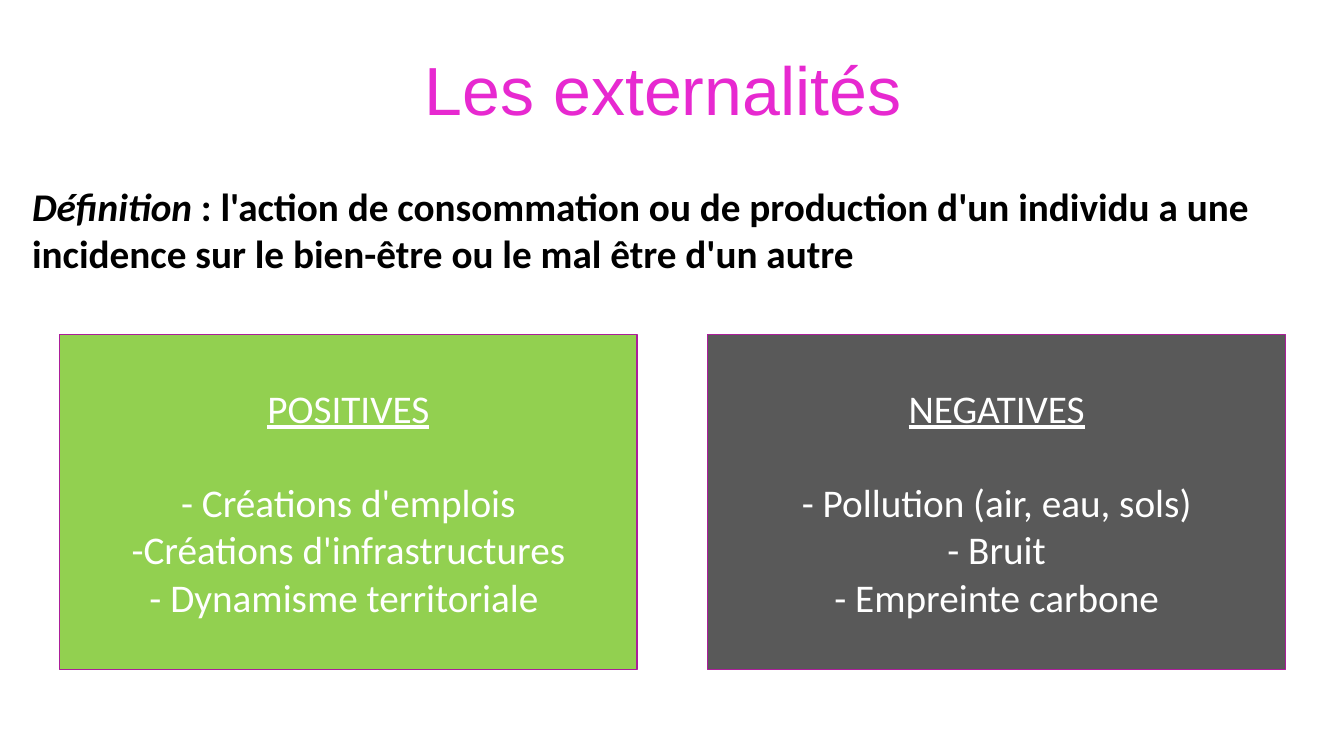
from dataclasses import dataclass

from pptx import Presentation
from pptx import util as u
from pptx.dml.color import RGBColor
from pptx.enum import shapes, text

COLORS = {
    "title": "E729D0",
    "body": "000000",
    "positive": "92D050",
    "negative": "595959",
    "border": "AB1E9A",
    "panel_text": "FFFFFF",
}
BODY_SIZE = 28
BLANK_LAYOUT = 6


@dataclass
class Panel:
    left: float
    fill: str
    heading: str
    effects: list[str]


PANELS = [
    Panel(0.59, "positive", "POSITIVES",
          ["- Créations d'emplois", "-Créations d'infrastructures", "- Dynamisme territoriale "]),
    Panel(7.02, "negative", "NEGATIVES",
          ["- Pollution (air, eau, sols)", "- Bruit", "- Empreinte carbone"]),
]


def rgb(name: str) -> RGBColor:
    return RGBColor.from_string(COLORS[name])


def add_run(paragraph, words: str, color: str, size: float = BODY_SIZE,
            font: str = "Calibri", **styles: bool) -> None:
    """Append a run; styles are font switches such as bold or underline."""
    run = paragraph.add_run()
    run.text = words
    run.font.name = font
    run.font.size = u.Pt(size)
    run.font.color.rgb = rgb(color)
    for style, value in styles.items():
        setattr(run.font, style, value)


def add_text_frame(slide, left: float, top: float, width: float, height: float):
    box = slide.shapes.add_textbox(*map(u.Inches, (left, top, width, height)))
    box.text_frame.word_wrap = True
    return box.text_frame


def add_title(slide) -> None:
    frame = add_text_frame(slide, 0.92, 0.36, 11.5, 0.97)
    frame.vertical_anchor = text.MSO_ANCHOR.BOTTOM
    paragraph = frame.paragraphs[0]
    paragraph.alignment = text.PP_ALIGN.CENTER
    add_run(paragraph, "Les externalités ", "title", 48.6, "Arial")


def add_definition(slide) -> None:
    paragraph = add_text_frame(slide, 0.22, 1.76, 12.8, 1.04).paragraphs[0]
    add_run(paragraph, "Définition", "body", bold=True, italic=True)
    add_run(paragraph, " : l'action de consommation ou de production d'un individu a une "
            "incidence sur le bien-être ou le mal être d'un autre", "body", bold=True)


def add_panel(slide, panel: Panel) -> None:
    shape = slide.shapes.add_shape(
        shapes.MSO_SHAPE.RECTANGLE,
        *map(u.Inches, (panel.left, 3.32, 5.73, 3.32)))
    shape.shadow.inherit = False
    shape.fill.solid()
    shape.fill.fore_color.rgb = rgb(panel.fill)
    shape.line.color.rgb = rgb("border")
    shape.line.width = u.Pt(1)

    frame = shape.text_frame
    frame.word_wrap = True
    frame.vertical_anchor = text.MSO_ANCHOR.MIDDLE
    heading = frame.paragraphs[0]
    heading.alignment = text.PP_ALIGN.CENTER
    heading.space_after = u.Pt(34)
    add_run(heading, panel.heading, "panel_text", underline=True)
    for effect in panel.effects:
        paragraph = frame.add_paragraph()
        paragraph.alignment = text.PP_ALIGN.CENTER
        add_run(paragraph, effect, "panel_text")


def main() -> None:
    presentation = Presentation()
    presentation.slide_width = u.Inches(13.33)
    presentation.slide_height = u.Inches(7.5)
    slide = presentation.slides.add_slide(presentation.slide_layouts[BLANK_LAYOUT])
    add_title(slide)
    for panel in PANELS:
        add_panel(slide, panel)
    add_definition(slide)
    presentation.save("out.pptx")


if __name__ == "__main__":
    main()
